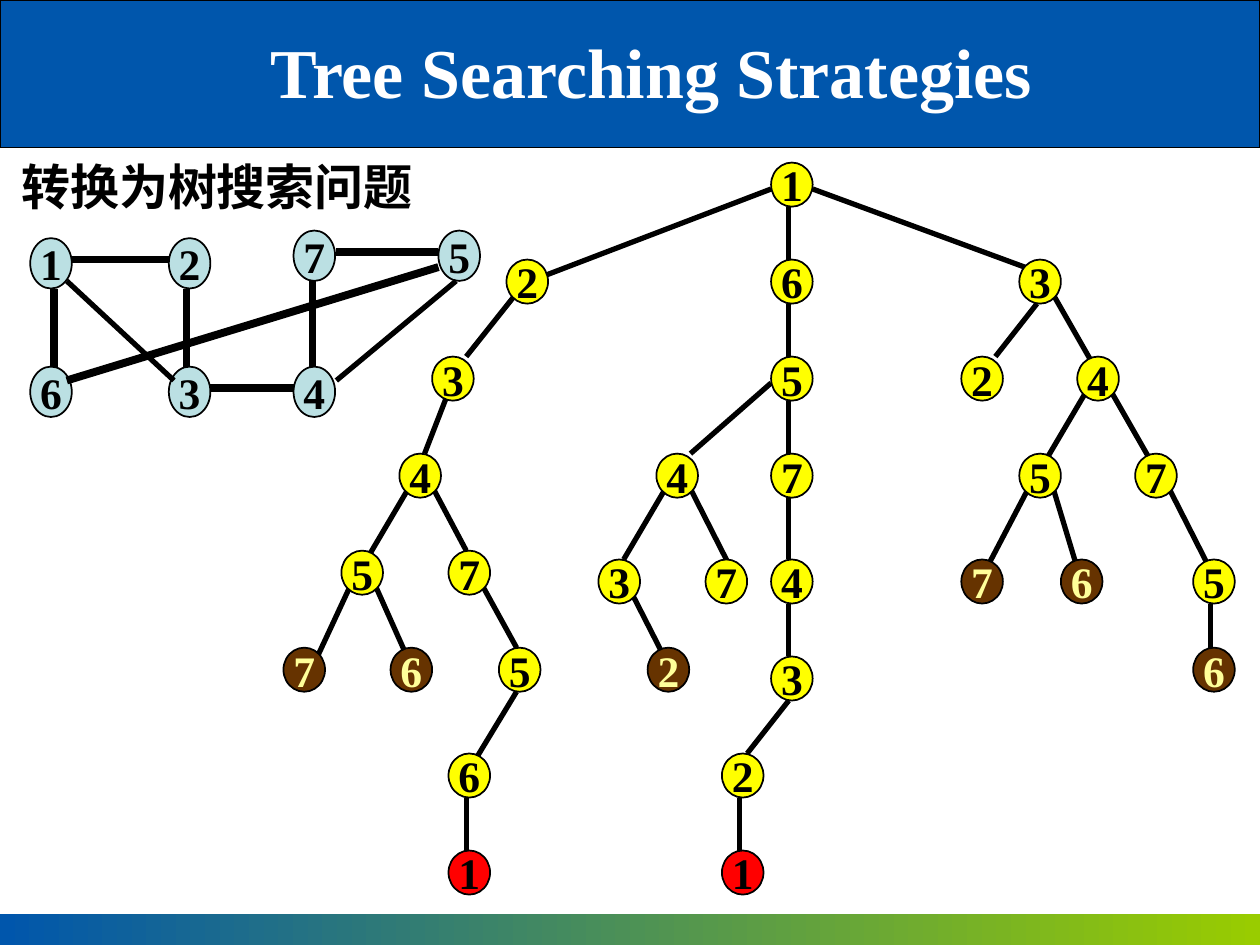
from lxml.etree import SubElement
from pptx import Presentation
from pptx.dml.color import RGBColor
from pptx.enum.shapes import MSO_CONNECTOR, MSO_SHAPE
from pptx.enum.text import MSO_ANCHOR, PP_ALIGN
from pptx.oxml.ns import qn
from pptx.util import Inches, Pt

TITLE = "Tree Searching Strategies"
HEADING = "转换为树搜索问题"
LATIN, CJK = "Times New Roman", "Noto Sans CJK SC"
COLORS = {"blue": "0056AC", "lime": "99CC00", "white": "FFFFFF", "black": "000000",
          "open": "FFFF00", "dead": "663300", "goal": "FF0000", "vertex": "BBE0E3",
          "cream": "FFFF99"}

# Graph vertices by label, then its edges: thick ones lie on the cycle.
VERTICES = {"1": (0.24, 1.89), "2": (1.34, 1.89), "7": (2.33, 1.83), "5": (3.48, 1.83),
            "6": (0.24, 2.91), "3": (1.34, 2.91), "4": (2.33, 2.91)}
CHORDS = [(0.53, 2.23, 1.38, 3.02), (3.62, 2.23, 2.67, 3.02)]
CYCLE = [(0.57, 2.06, 1.34, 2.06), (1.48, 2.29, 1.48, 2.91), (1.67, 3.08, 2.33, 3.08),
         (2.48, 2.91, 2.48, 2.23), (2.67, 2.0, 3.48, 2.0), (0.53, 3.02, 3.48, 2.12),
         (0.43, 2.29, 0.43, 2.91)]

# Points on a tree node where edges meet it, measured from its top left corner.
PORTS = {"left": (0, 0.21), "right": (0.33, 0.21), "low left": (0.07, 0.28),
         "low mid": (0.13, 0.28), "low right": (0.27, 0.28), "bottom": (0.14, 0.35),
         "top": (0.14, 0), "top right": (0.2, 0), "top far": (0.27, 0),
         "in left": (0.07, 0.07), "in mid": (0.13, 0.07), "in": (0.2, 0.07),
         "in far": (0.27, 0.07), "side": (0.27, 0.14)}

# Path from the root: (left, row in steps, port on parent, port on node).
# The last digit of a path is the label, the rest is the parent.
TREE = {
    "1": (6.12, 0, None, None),
    "12": (4.02, 11, "left", "side"),
    "123": (3.43, 22, "low left", "top far"),
    "1234": (3.17, 33, "low mid", "top right"),
    "12345": (2.71, 44, "low left", "in"),
    "123457": (2.25, 55, "low left", "in far"),
    "123456": (3.1, 55, "low right", "in mid"),
    "12347": (3.56, 44, "low right", "top"),
    "123475": (3.96, 55, "low right", "top"),
    "1234756": (3.56, 67, "bottom", "in"),
    "12347561": (3.56, 78, "bottom", "top"),
    "16": (6.12, 11, "bottom", "top"),
    "165": (6.12, 22, "bottom", "top"),
    "1654": (5.21, 33, "left", "top far"),
    "16543": (4.75, 45, "low left", "top right"),
    "165432": (5.14, 55, "low right", "in mid"),
    "16547": (5.6, 45, "low right", "in"),
    "1657": (6.12, 33, "bottom", "top"),
    "16574": (6.12, 45, "bottom", "top"),
    "165743": (6.12, 56, "bottom", "top"),
    "1657432": (5.73, 67, "bottom", "top right"),
    "16574321": (5.73, 78, "bottom", "top"),
    "13": (8.09, 11, "right", "in left"),
    "132": (7.63, 22, "bottom", "top far"),
    "134": (8.55, 22, "low right", "in mid"),
    "1345": (8.09, 33, "low left", "in"),
    "13457": (7.63, 45, "low left", "in"),
    "13456": (8.42, 45, "low right", "in mid"),
    "1347": (9.01, 33, "low right", "in mid"),
    "13475": (9.47, 45, "low right", "in mid"),
    "134756": (9.47, 55, "bottom", "top"),
}
DEAD = {"123457", "123456", "165432", "13457", "13456", "134756"}
GOALS = {"12347561", "16574321"}
TOP, STEP = 1.29, 0.07
NODE_W, NODE_H, VERTEX_H = 0.33, 0.35, 0.4


def rgb(name):
    """Look up a colour by name."""
    return RGBColor.from_string(COLORS[name])


def write(shape, text, size, color, align, font=LATIN):
    """Put one bold line of text in a shape."""
    tf = shape.text_frame
    tf.text = text
    p = tf.paragraphs[0]
    p.alignment = align
    f = p.runs[0].font
    f.name, f.size, f.bold = font, Pt(size), True
    f.color.rgb = rgb(color)
    return tf


def add_box(shapes, kind, box, fill=None, line=None):
    """Add a preset shape without shadow."""
    sp = shapes.add_shape(kind, *map(Inches, box))
    sp.shadow.inherit = False
    if fill:
        sp.fill.solid()
        sp.fill.fore_color.rgb = rgb(fill)
    if line:
        sp.line.color.rgb = rgb("black")
        sp.line.width = Pt(line)
    else:
        sp.line.fill.background()
    return sp


def add_node(shapes, label, left, top, height, kind):
    """Add a labelled circle."""
    sp = add_box(shapes, MSO_SHAPE.OVAL, (left, top, NODE_W, height), kind, 1)
    tf = write(sp, label, 24.9, "cream" if kind == "dead" else "black", PP_ALIGN.CENTER)
    tf.word_wrap = False
    tf.vertical_anchor = MSO_ANCHOR.MIDDLE
    tf.margin_left = tf.margin_right = tf.margin_top = tf.margin_bottom = 0


def add_edge(shapes, ends, width=3):
    """Add a black line between two points."""
    line = shapes.add_connector(MSO_CONNECTOR.STRAIGHT, *map(Inches, ends))
    line.line.color.rgb = rgb("black")
    line.line.width = Pt(width)
    SubElement(line._element.spPr, qn("a:effectLst"))


def port(path, name):
    """Return the slide position of a port on a tree node."""
    left, row = TREE[path][:2]
    dx, dy = PORTS[name]
    return left + dx, TOP + STEP * row + dy


def draw_master(prs, s):
    """Put the title band and the footer strip on the master."""
    band = add_box(s.shapes, MSO_SHAPE.RECTANGLE, (0, 0, 10, 1.17), "blue", 0.75)
    strip = add_box(s.shapes, MSO_SHAPE.RECTANGLE, (0, 7.25, 10, 0.25))
    strip.fill.gradient()
    strip.fill.gradient_angle = 0
    for stop, color, pos in zip(strip.fill.gradient_stops, ("blue", "lime"), (0, 1)):
        stop.color.rgb, stop.position = rgb(color), pos
    for i, sp in enumerate((band, strip)):
        prs.slide_master.shapes._spTree.insert(2 + i, sp._element)


def draw_tree(shapes):
    """Draw the search tree, edges behind nodes."""
    for path, (_, _, start, end) in TREE.items():
        if start:
            add_edge(shapes, port(path[:-1], start) + port(path, end))
    for path, (left, row, _, _) in TREE.items():
        kind = "dead" if path in DEAD else "goal" if path in GOALS else "open"
        add_node(shapes, path[-1], left, TOP + STEP * row, NODE_H, kind)


def draw_graph(shapes):
    """Draw the graph with its cycle in thick lines."""
    for label, (left, top) in VERTICES.items():
        add_node(shapes, label, left, top, VERTEX_H, "vertex")
    for edges, width in ((CHORDS, 3), (CYCLE, 4.5)):
        for ends in edges:
            add_edge(shapes, ends, width)


prs = Presentation()
prs.slide_width, prs.slide_height = Inches(10), Inches(7.5)
s = prs.slides.add_slide(prs.slide_layouts[5])
draw_master(prs, s)

title = s.shapes.title
title.left, title.top, title.width, title.height = map(Inches, (1.42, 0.06, 7.5, 1))
write(title, TITLE, 40, "white", PP_ALIGN.CENTER).vertical_anchor = MSO_ANCHOR.MIDDLE

heading = add_box(s.shapes, MSO_SHAPE.RECTANGLE, (0.07, 1.19, 4.09, 0.55), "white")
tf = write(heading, HEADING, 28, "black", PP_ALIGN.JUSTIFY, CJK)
tf.vertical_anchor = MSO_ANCHOR.TOP
tf.word_wrap = True
rPr = tf.paragraphs[0].runs[0].font._element
SubElement(rPr, qn("a:ea")).set("typeface", CJK)

draw_tree(s.shapes.add_group_shape().shapes)
draw_graph(s.shapes.add_group_shape().shapes)
prs.save("out.pptx")
